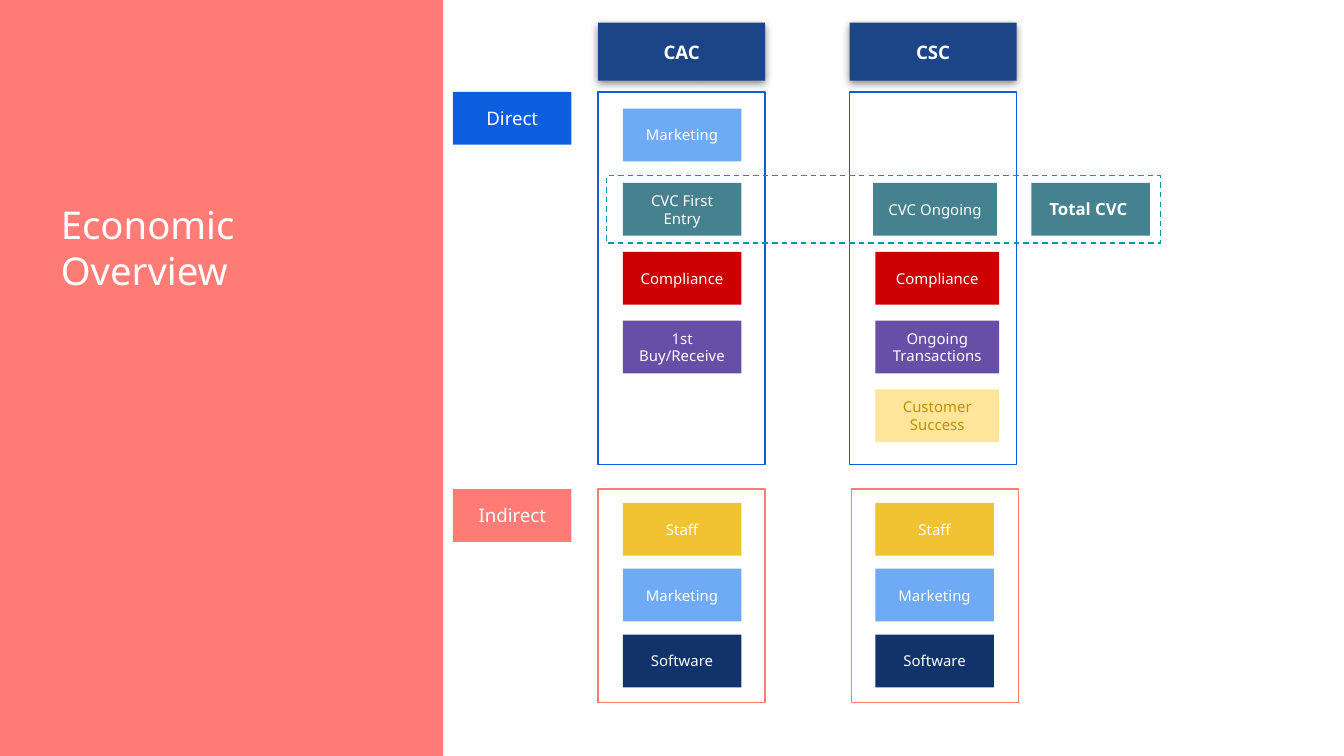
from lxml import etree
from pptx import Presentation
from pptx.dml.color import RGBColor
from pptx.enum import dml, shapes, text
from pptx.oxml import ns
from pptx.util import Pt

FONT = "Noto Sans"
WHITE = RGBColor(0xFF, 0xFF, 0xFF)
CORAL = RGBColor(0xFF, 0x7C, 0x76)
BLUE = RGBColor(0x0D, 0x5D, 0xDF)
DEEP_BLUE = RGBColor(0x1C, 0x45, 0x87)
NAVY = RGBColor(0x12, 0x32, 0x6B)
SKY = RGBColor(0x6E, 0xAA, 0xF5)
TEAL = RGBColor(0x45, 0x81, 0x8E)
CYAN = RGBColor(0x00, 0x97, 0xA7)
RED = RGBColor(0xCC, 0x00, 0x00)
PURPLE = RGBColor(0x67, 0x4E, 0xA7)
GOLD = RGBColor(0xF1, 0xC2, 0x32)
CREAM = RGBColor(0xFF, 0xE5, 0x99)
BRONZE = RGBColor(0xBF, 0x90, 0x00)

CAC_LEFT, CSC_LEFT, COLUMN_WIDTH = 320.4, 455.1, 89.5
CAC_CARD_LEFT, CSC_CARD_LEFT = 333.7, 469
CARD_WIDTH, WIDE_CARD_WIDTH, CARD_HEIGHT = 63.5, 66.3, 28.3
LABEL_LEFT = 242.7
DIRECT_TOP, DIRECT_HEIGHT = 49.3, 199.5
INDIRECT_TOP, INDIRECT_HEIGHT = 262, 114.2
MARKETING_TOP, CVC_TOP = 58.2, 98
DIRECT_CARDS_TOP, DIRECT_PITCH = 135, 36.8
INDIRECT_CARDS_TOP, INDIRECT_PITCH = 269.4, 35.3


def add_rectangle(page, left, top, width, height):
    box = page.shapes.add_shape(
        shapes.MSO_SHAPE.RECTANGLE, Pt(left), Pt(top), Pt(width), Pt(height))
    box.shadow.inherit = False
    return box


def add_block(page, left, top, width, height, fill):
    box = add_rectangle(page, left, top, width, height)
    box.fill.solid()
    box.fill.fore_color.rgb = fill
    box.line.fill.background()
    return box


def add_frame(page, left, top, width, height, color, dash=None):
    box = add_rectangle(page, left, top, width, height)
    box.fill.background()
    box.line.color.rgb = color
    box.line.width = Pt(0.75)
    if dash:
        box.line.dash_style = dash


def write(box, words, size, color, bold, align, anchor):
    frame = box.text_frame
    frame.text = words
    frame.word_wrap = True
    frame.auto_size = text.MSO_AUTO_SIZE.NONE
    frame.vertical_anchor = anchor
    frame.margin_left = frame.margin_right = Pt(7.2)
    frame.margin_top = frame.margin_bottom = Pt(7.2)
    paragraph = frame.paragraphs[0]
    paragraph.alignment = align
    font = paragraph.runs[0].font
    font.name, font.size, font.bold = FONT, Pt(size), bold
    font.color.rgb = color


def add_card(page, left, top, words, fill, width=CARD_WIDTH,
             height=CARD_HEIGHT, size=8, color=WHITE, bold=False):
    box = add_block(page, left, top, width, height, fill)
    write(box, words, size, color, bold,
          text.PP_ALIGN.CENTER, text.MSO_ANCHOR.MIDDLE)
    return box


def add_stack(page, left, top, pitch, cards, width=CARD_WIDTH):
    for index, (words, fill, color) in enumerate(cards):
        add_card(page, left, top + index * pitch, words, fill, width, color=color)


def add_header(page, left, words):
    box = add_card(page, left, 12.2, words, DEEP_BLUE,
                   COLUMN_WIDTH, 31, size=10, bold=True)
    effects = box._element.spPr.find(ns.qn("a:effectLst"))
    shadow = etree.SubElement(
        effects, ns.qn("a:outerShdw"), blurRad=str(Pt(4.5)),
        dist=str(Pt(1.5)), dir="5400000", algn="bl", rotWithShape="0")
    color = etree.SubElement(shadow, ns.qn("a:srgbClr"), val="000000")
    etree.SubElement(color, ns.qn("a:alpha"), val="50000")


def add_title(page, words):
    title = page.shapes.title
    title.left, title.top = Pt(25.4), Pt(100.8)
    title.width, title.height = Pt(185), Pt(51.8)
    write(title, words, 20.5, WHITE, False,
          text.PP_ALIGN.LEFT, text.MSO_ANCHOR.TOP)
    page.shapes._spTree.append(title._element)


def main():
    deck = Presentation()
    deck.slide_width, deck.slide_height = Pt(720), Pt(405)
    page = deck.slides.add_slide(deck.slide_layouts[5])

    add_block(page, 0, 0, 237.4, 405, CORAL)
    add_title(page, "Economic Overview")

    for left, words in ((CAC_LEFT, "CAC"), (CSC_LEFT, "CSC")):
        add_header(page, left, words)
        add_frame(page, left, DIRECT_TOP, COLUMN_WIDTH, DIRECT_HEIGHT, BLUE)
    for left in (CAC_LEFT, CSC_LEFT + 0.9):
        add_frame(page, left, INDIRECT_TOP, COLUMN_WIDTH, INDIRECT_HEIGHT, CORAL)

    add_card(page, LABEL_LEFT, DIRECT_TOP, "Direct", BLUE, size=10)
    add_card(page, LABEL_LEFT, INDIRECT_TOP, "Indirect", CORAL, size=10)

    add_card(page, CAC_CARD_LEFT, MARKETING_TOP, "Marketing", SKY)
    add_stack(page, CAC_CARD_LEFT, DIRECT_CARDS_TOP, DIRECT_PITCH, [
        ("Compliance", RED, WHITE),
        ("1st Buy/Receive", PURPLE, WHITE),
    ])
    add_stack(page, CSC_CARD_LEFT, DIRECT_CARDS_TOP, DIRECT_PITCH, [
        ("Compliance", RED, WHITE),
        ("Ongoing Transactions", PURPLE, WHITE),
        ("Customer Success", CREAM, BRONZE),
    ], WIDE_CARD_WIDTH)
    for left in (CAC_CARD_LEFT, CSC_CARD_LEFT):
        add_stack(page, left, INDIRECT_CARDS_TOP, INDIRECT_PITCH, [
            ("Staff", GOLD, WHITE),
            ("Marketing", SKY, WHITE),
            ("Software", NAVY, WHITE),
        ])

    add_card(page, CAC_CARD_LEFT, CVC_TOP, "CVC First Entry", TEAL)
    add_card(page, 467.8, CVC_TOP, "CVC Ongoing", TEAL, WIDE_CARD_WIDTH)
    add_frame(page, 324.8, 94.2, 297, 36, CYAN, dml.MSO_LINE.DASH)
    add_card(page, 552.5, CVC_TOP, "Total CVC ", TEAL, size=9, bold=True)

    deck.save("out.pptx")


if __name__ == "__main__":
    main()
